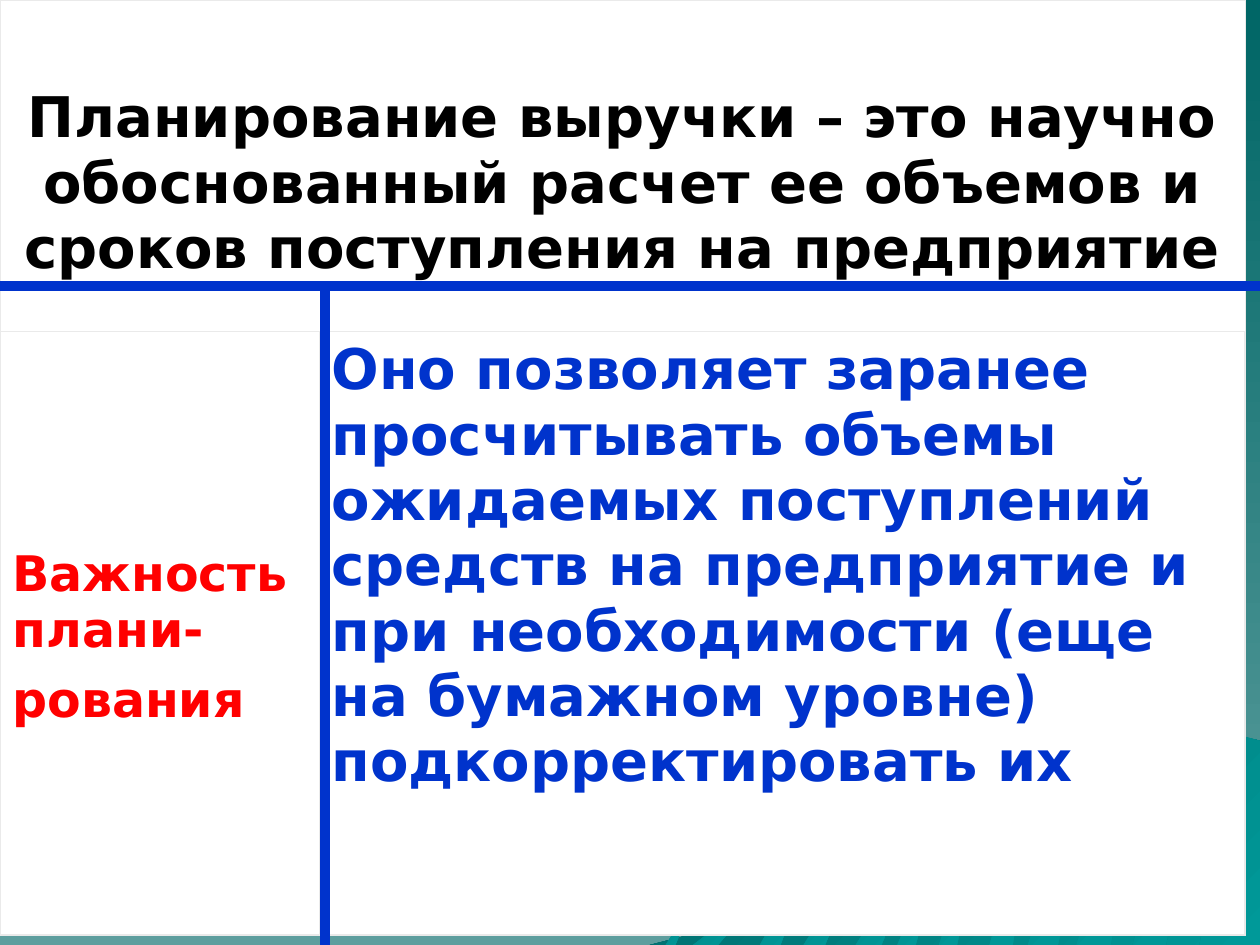
"""Build the slide on planning revenue."""
from dataclasses import dataclass

from lxml import etree
from pptx import Presentation
from pptx import util as u
from pptx.dml.color import RGBColor
from pptx.enum import shapes, text
from pptx.oxml import ns

FONT = "DejaVu Sans"
BLACK = RGBColor(0x00, 0x00, 0x00)
WHITE = RGBColor(0xFF, 0xFF, 0xFF)
RED = RGBColor(0xFF, 0x00, 0x00)
BLUE = RGBColor(0x00, 0x33, 0xCC)
GRAY = RGBColor(0xEA, 0xEA, 0xEA)
DARK_TEAL = RGBColor(0x00, 0x66, 0x66)
MID_TEAL = RGBColor(0x00, 0x8B, 0x8B)
TEAL = RGBColor(0x00, 0x99, 0x99)
PALE_TEAL = RGBColor(0x5D, 0x9E, 0x9E)
WIDTH, HEIGHT = u.Cm(25.4), u.Cm(19.05)
BLADE = [(0.75, 0), (1, 0), (0.5, 1), (0, 1)]
EDGE = [(0.75, 0), (1, 0.02), (1, 1), (0, 1)]
CROWN = [(0, 1), (0.2, 0.85), (0.55, 0.7), (0.6, 0.4), (0.85, 0.22),
         (0.97, 0), (1, 0.02), (1, 1)]


@dataclass(frozen=True)
class Leaf:
    left: float
    width: float
    height: float
    outline: list[tuple[float, float]]
    start: RGBColor = MID_TEAL


@dataclass(frozen=True)
class CellText:
    row: int
    col: int
    lines: list[str]
    size: int
    color: RGBColor
    top: float
    align: text.PP_ALIGN = text.PP_ALIGN.LEFT


@dataclass(frozen=True)
class Rule:
    x1: float
    y1: float
    x2: float
    y2: float


LEAVES = [
    Leaf(13.1, 12.3, 4.2, CROWN, DARK_TEAL),
    Leaf(22.83, 1.35, 3.28, BLADE),
    Leaf(21.7, 1.38, 3.38, BLADE),
    Leaf(20.72, 1.22, 2.74, BLADE),
    Leaf(19.95, 0.93, 2.7, BLADE),
    Leaf(18.93, 0.73, 1.7, BLADE),
    Leaf(18.09, 0.74, 1.32, BLADE),
    Leaf(17.25, 1.04, 1.24, BLADE),
    Leaf(16.2, 0.87, 1.04, BLADE),
    Leaf(15.32, 0.83, 1.12, BLADE),
    Leaf(13.97, 1.01, 0.58, BLADE),
    Leaf(13.42, 0.39, 0.46, BLADE),
    Leaf(24.18, 1.22, 4.2, EDGE),
]
CELLS = [
    CellText(0, 0, ["Планирование выручки – это научно обоснованный расчет ее "
                    "объемов и сроков поступления на предприятие"],
             32, BLACK, 1.73, text.PP_ALIGN.CENTER),
    CellText(1, 0, ["Важность плани-", "рования"], 28, RED, 4.32),
    CellText(1, 1, ["Оно позволяет заранее просчитывать объемы ожидаемых "
                    "поступлений средств на предприятие и при необходимости "
                    "(еще на бумажном уровне) подкорректировать их"],
             32, BLUE, 0.13),
]
RULES = [Rule(0, 5.77, 25.4, 5.77), Rule(6.55, 5.77, 6.55, 19.05)]


def set_gradient(fill, start: RGBColor, end: RGBColor, angle: int) -> None:
    """Fill with a linear gradient of two colours."""
    fill.gradient()
    fill.gradient_angle = angle
    for stop, color in zip(fill.gradient_stops, (start, end)):
        stop.color.rgb = color


def draw_leaf(s, leaf: Leaf) -> None:
    """Draw one leaf that stands on the bottom edge of the slide."""
    points = [(u.Cm(leaf.left + x * leaf.width),
               HEIGHT - u.Cm((1 - y) * leaf.height)) for x, y in leaf.outline]
    builder = s.shapes.build_freeform(*points[0])
    builder.add_line_segments(points[1:], close=True)
    sp = builder.convert_to_shape()
    sp.shadow.inherit = False
    sp.line.fill.background()
    set_gradient(sp.fill, leaf.start, TEAL, 315)


def write_text(p, content: str, *, size: int, color: RGBColor,
               align: text.PP_ALIGN, before: float = 0) -> None:
    """Write bold text into a paragraph."""
    p.alignment = align
    p.space_before = u.Pt(before)
    r = p.add_run()
    r.text = content
    r.font.name, r.font.size, r.font.bold = FONT, u.Pt(size), True
    r.font.color.rgb = color


def style_cell(cell, outer: set[str]) -> None:
    """Give a cell grey borders, thicker on its outer sides, and a white fill."""
    tc_pr = cell._tc.get_or_add_tcPr()
    for side in "LRTB":
        width = u.Pt(1.08 if side in outer else 0.45)
        ln = etree.SubElement(tc_pr, ns.qn(f"a:ln{side}"), w=str(int(width)))
        solid = etree.SubElement(ln, ns.qn("a:solidFill"))
        etree.SubElement(solid, ns.qn("a:srgbClr"), val=str(GRAY))
    cell.fill.solid()
    cell.fill.fore_color.rgb = WHITE


def draw_table(s) -> None:
    """Draw the table with its merged heading row."""
    table = s.shapes.add_table(2, 2, 0, 0, u.Cm(25.1), u.Cm(18.85)).table
    table.first_row = table.horz_banding = False
    for col, width in zip(table.columns, (6.43, 18.67)):
        col.width = u.Cm(width)
    for row, height in zip(table.rows, (6.68, 12.17)):
        row.height = u.Cm(height)
    table.cell(0, 0).merge(table.cell(0, 1))
    for i in range(2):
        for j in range(2):
            style_cell(table.cell(i, j), {"TB"[i], "LR"[j]})
    for item in CELLS:
        cell = table.cell(item.row, item.col)
        cell.margin_top = u.Cm(item.top)
        tf = cell.text_frame
        for i, line in enumerate(item.lines):
            p = tf.add_paragraph() if i else tf.paragraphs[0]
            write_text(p, line, size=item.size, color=item.color,
                       align=item.align, before=7 if i else 0)


def draw_rule(s, rule: Rule) -> None:
    """Draw a thick blue dividing line."""
    ends = map(u.Cm, (rule.x1, rule.y1, rule.x2, rule.y2))
    sp = s.shapes.add_connector(shapes.MSO_CONNECTOR.STRAIGHT, *ends)
    sp.line.color.rgb = BLUE
    sp.line.width = u.Pt(6)
    etree.SubElement(sp._element.spPr, ns.qn("a:effectLst"))


def main() -> None:
    """Assemble and save the slide."""
    prs = Presentation()
    prs.slide_width, prs.slide_height = WIDTH, HEIGHT
    s = prs.slides.add_slide(prs.slide_layouts[6])
    set_gradient(s.background.fill, DARK_TEAL, PALE_TEAL, 270)
    for leaf in LEAVES:
        draw_leaf(s, leaf)
    draw_table(s)
    for rule in RULES:
        draw_rule(s, rule)
    prs.save("out.pptx")


if __name__ == "__main__":
    main()
